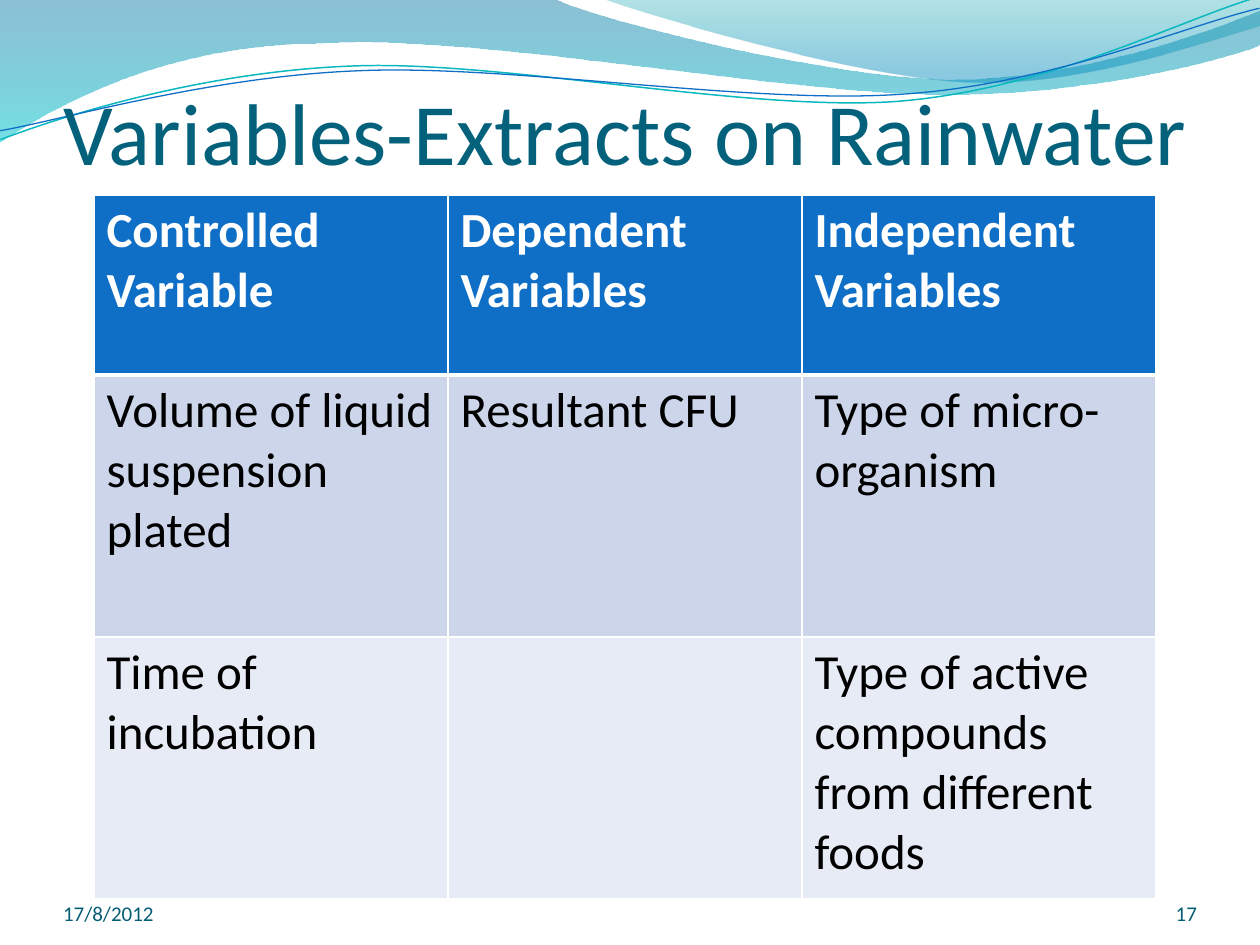
from dataclasses import dataclass

from lxml.etree import SubElement
from pptx import Presentation
from pptx.dml.color import RGBColor
from pptx.enum.text import MSO_ANCHOR, MSO_AUTO_SIZE, PP_ALIGN
from pptx.oxml.ns import qn
from pptx.util import Pt

EMU_PER_PX = 914400 / 126
FONT = "Calibri"

COLORS = {
    "title": "04617B", "footer": "045D75", "white": "FFFFFF", "text": "000000",
    "header": "0F6FC6", "odd_row": "CCD5EA", "even_row": "E7EBF5",
    "teal_line": "0AB8BF", "blue_line": "0F6FC6",
}


@dataclass
class Stop:
    position: float
    color: str
    opacity: int


@dataclass
class Wave:
    # Two numbers make a straight segment, six a Bezier curve
    start: tuple[int, int]
    segments: list[tuple[int, ...]]
    stops: tuple[Stop, ...] = ()
    line: str = ""
    line_width: float = 0
    rotation: float = 0


@dataclass
class Label:
    text: str
    box: tuple[int, int, int, int]
    align: PP_ALIGN


WAVES = [
    Wave((0, -1),
         [(554, -1), (600, 21, 837, 79, 955, 79), (1075, 79, 1207, 33, 1260, 11),
          (1261, 45), (1239, 55, 1096, 96, 940, 94), (784, 94, 481, 35, 324, 43),
          (163, 44, 58, 105, -1, 142)],
         stops=(Stop(0, "0074A1", 45), Stop(1, "00C6CF", 55))),
    Wave((603, -1),
         [(641, 14, 859, 78, 969, 82), (1079, 87, 1211, 40, 1260, 26), (1260, 0)],
         stops=(Stop(0, "00A1A9", 30), Stop(0.8, "008BBF", 45))),
    Wave((-2, 110),
         [(59, 90, 200, 52, 350, 53), (499, 53, 745, 118, 896, 114),
          (1049, 109, 1184, 45, 1260, 27)],
         line="teal_line", line_width=0.85, rotation=357.3),
    Wave((-2, 101),
         [(57, 94, 207, 57, 357, 58), (509, 58, 750, 111, 902, 107),
          (1052, 104, 1186, 52, 1262, 38)],
         line="blue_line", line_width=0.75, rotation=357.3),
]

FOOTERS = [
    Label("17/8/2012", (63, 876, 294, 50), PP_ALIGN.LEFT),
    Label("17", (1092, 876, 105, 50), PP_ALIGN.RIGHT),
]

VARIABLES = [
    ("Controlled Variable", "Dependent Variables", "Independent Variables"),
    ("Volume of liquid suspension plated", "Resultant CFU", "Type of micro-organism"),
    ("Time of incubation", "", "Type of active compounds from different foods"),
]
ROW_HEIGHTS = (180, 262, 262)
ROW_FILLS = ("header", "odd_row", "even_row")


def px(length: float) -> int:
    return round(length * EMU_PER_PX)


def rgb(name: str) -> RGBColor:
    return RGBColor.from_string(COLORS[name])


def bend_segments(outline, wave: Wave) -> None:
    """Join the three points of each curved segment into one Bezier."""
    steps = iter(list(outline.element.iter(qn("a:lnTo"))))
    for segment in wave.segments:
        parts = [next(steps) for _ in range(len(segment) // 2)]
        if len(parts) == 3:
            curve = parts[0].makeelement(qn("a:cubicBezTo"))
            parts[0].addprevious(curve)
            for part in parts:
                curve.append(part[0])
                part.getparent().remove(part)


def draw_wave(shapes, wave: Wave) -> None:
    builder = shapes.build_freeform(*map(px, wave.start))
    points = [(px(x), px(y)) for segment in wave.segments
              for x, y in zip(segment[::2], segment[1::2])]
    builder.add_line_segments(points, close=bool(wave.stops))
    outline = builder.convert_to_shape()
    bend_segments(outline, wave)
    outline.rotation = wave.rotation
    outline.shadow.inherit = False
    if not wave.stops:
        outline.fill.background()
        outline.line.color.rgb = rgb(wave.line)
        outline.line.width = Pt(wave.line_width)
        return
    outline.line.fill.background()
    outline.fill.gradient()
    outline.fill.gradient_angle = 270
    for target, stop in zip(outline.fill.gradient_stops, wave.stops):
        target.position = stop.position
        target.color.rgb = RGBColor.from_string(stop.color)
    for color, stop in zip(outline.element.spPr.iter(qn("a:srgbClr")), wave.stops):
        SubElement(color, qn("a:alpha"), val=str(stop.opacity * 1000))


def write(frame, text: str, size: int, color: str, bold: bool = False,
          align: PP_ALIGN = PP_ALIGN.LEFT) -> None:
    paragraph = frame.paragraphs[0]
    paragraph.alignment = align
    run = paragraph.add_run()
    run.text = text
    run.font.color.rgb = rgb(color)
    for name, value in {"name": FONT, "size": Pt(size), "bold": bold}.items():
        setattr(run.font, name, value)


def set_frame(frame, top: int = 0) -> None:
    settings = {"margin_left": 0, "margin_right": 0, "margin_top": px(top),
                "margin_bottom": 0, "word_wrap": True,
                "auto_size": MSO_AUTO_SIZE.NONE, "vertical_anchor": MSO_ANCHOR.BOTTOM}
    for name, value in settings.items():
        setattr(frame, name, value)


def draw_label(shapes, label: Label) -> None:
    frame = shapes.add_textbox(*map(px, label.box)).text_frame
    set_frame(frame)
    write(frame, label.text, 12, "footer", align=label.align)


def set_borders(cell, bottom: int, top: int) -> None:
    properties = cell._tc.get_or_add_tcPr()
    widths = {"a:lnL": 1, "a:lnR": 1, "a:lnT": top, "a:lnB": bottom}
    for index, (tag, width) in enumerate(widths.items()):
        border = SubElement(properties, qn(tag), w=str(Pt(width)))
        fill = SubElement(border, qn("a:solidFill"))
        SubElement(fill, qn("a:srgbClr"), val=COLORS["white"])
        properties.insert(index, border)


def draw_table(shapes) -> None:
    table = shapes.add_table(3, 3, px(94), px(195), px(1062), px(sum(ROW_HEIGHTS))).table
    for column in table.columns:
        column.width = px(354)
    for r, texts in enumerate(VARIABLES):
        table.rows[r].height = px(ROW_HEIGHTS[r])
        is_header = r == 0
        for c, text in enumerate(texts):
            cell = table.cell(r, c)
            cell.fill.solid()
            cell.fill.fore_color.rgb = rgb(ROW_FILLS[r])
            set_borders(cell, bottom=3 if is_header else 1, top=3 if r == 1 else 1)
            if text:
                write(cell.text_frame, text, 28, "white" if is_header else "text", is_header)


def main() -> None:
    deck = Presentation()
    deck.slide_width, deck.slide_height = px(1260), px(945)
    slide = deck.slides.add_slide(deck.slide_layouts[5])
    shapes = slide.shapes

    # Wave decoration behind everything
    for wave in WAVES:
        draw_wave(shapes, wave)

    # Title, brought in front of the waves
    title = shapes.title
    title.left, title.top, title.width, title.height = map(px, (64, 26, 1134, 157))
    set_frame(title.text_frame, top=6)
    write(title.text_frame, "Variables-Extracts on Rainwater", 50, "title")
    title.element.getparent().append(title.element)

    # Date and slide number
    for footer in FOOTERS:
        draw_label(shapes, footer)

    # Variables table
    draw_table(shapes)
    deck.save("out.pptx")


if __name__ == "__main__":
    main()
